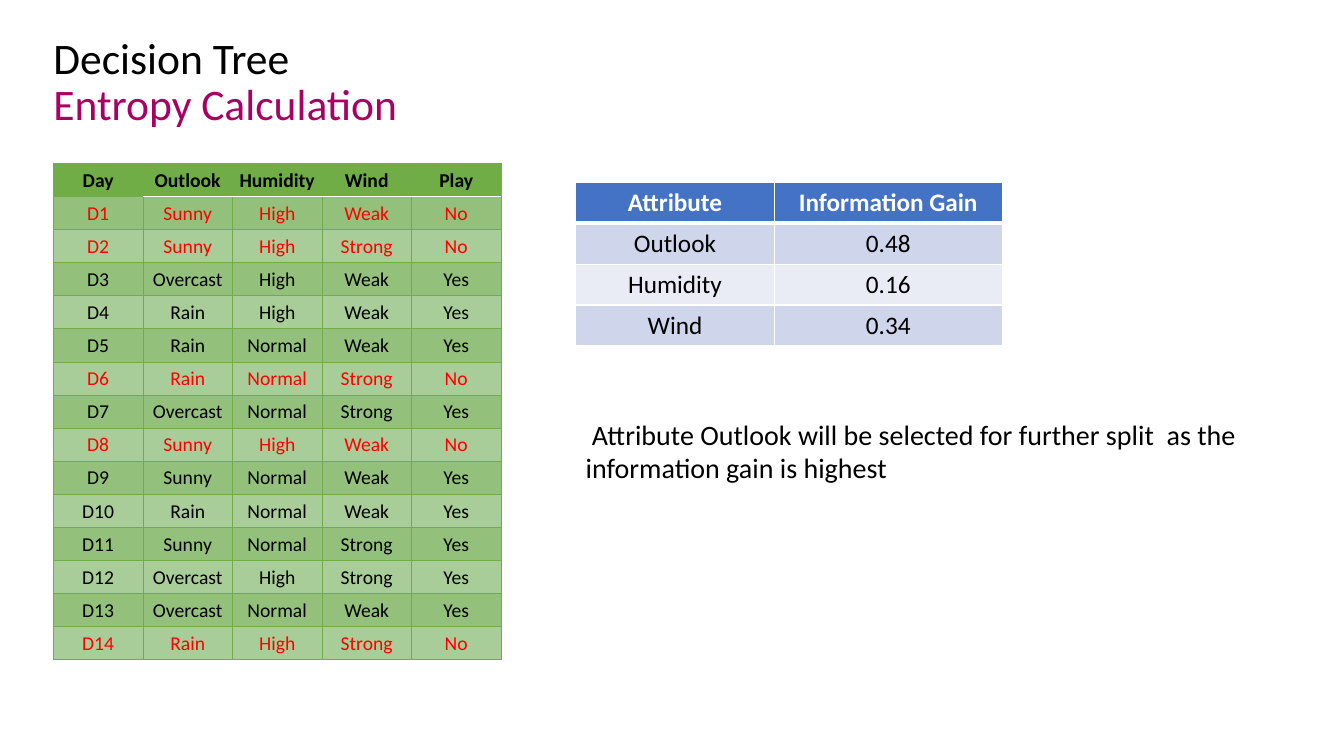
from lxml.etree import SubElement
from pptx import Presentation
from pptx.dml.color import RGBColor
from pptx.enum.text import MSO_ANCHOR, MSO_AUTO_SIZE, PP_ALIGN
from pptx.oxml.ns import qn
from pptx.util import Inches, Pt

GREEN, BLUE, WHITE, BLACK, RED = "70AD47", "4472C4", "FFFFFF", "000000", "FF0000"
GREEN_BANDS = ("93C17B", "A9CD98")
BLUE_BANDS = ("CFD5EA", "E9EBF5")

DAYS = """Day Outlook Humidity Wind Play
D1 Sunny High Weak No
D2 Sunny High Strong No
D3 Overcast High Weak Yes
D4 Rain High Weak Yes
D5 Rain Normal Weak Yes
D6 Rain Normal Strong No
D7 Overcast Normal Strong Yes
D8 Sunny High Weak No
D9 Sunny Normal Weak Yes
D10 Rain Normal Weak Yes
D11 Sunny Normal Strong Yes
D12 Overcast High Strong Yes
D13 Overcast Normal Weak Yes
D14 Rain High Strong No"""

GAINS = [
    ("Attribute", "Information Gain"),
    ("Outlook", "0.48"),
    ("Humidity", "0.16"),
    ("Wind", "0.34"),
]


def rgb(color):
    """Turn a hex string into a colour."""
    return RGBColor.from_string(color)


def style(paragraph, size, color, bold=False):
    """Set the font of a whole paragraph."""
    font = paragraph.font
    font.name, font.size, font.bold = "Calibri", Pt(size), bold
    font.color.rgb = rgb(color)


def set_borders(cell, **edges):
    """Draw the cell's L, R, T and B edges, each given as (colour, points)."""
    properties = cell._tc.get_or_add_tcPr()
    for side in "LRTB":
        color, width = edges[side]
        line = SubElement(properties, qn(f"a:ln{side}"), w=str(Pt(width)))
        fill = SubElement(line, qn("a:solidFill"))
        SubElement(fill, qn("a:srgbClr"), val=color)


def fill_cell(cell, text, size, color, fill, bold):
    """Write centred text on a filled cell."""
    cell.fill.solid()
    cell.fill.fore_color.rgb = rgb(fill)
    cell.text = text
    paragraph = cell.text_frame.paragraphs[0]
    paragraph.alignment = PP_ALIGN.CENTER
    style(paragraph, size, color, bold)


def add_grid(slide, rows, left, top, widths, row_height):
    """Add an unbanded table with the given column widths and row height."""
    frame = slide.shapes.add_table(
        len(rows), len(widths), Inches(left), Inches(top),
        Inches(sum(widths)), Inches(row_height * len(rows)))
    table = frame.table
    table.horz_banding = False
    for column, width in zip(table.columns, widths):
        column.width = Inches(width)
    for row in table.rows:
        row.height = Inches(row_height)
    return table


def add_heading(slide, left, top, width, height):
    """Place the two-line title."""
    title = slide.shapes.title
    title.left, title.top = Inches(left), Inches(top)
    title.width, title.height = Inches(width), Inches(height)
    frame = title.text_frame
    frame.text = "Decision Tree\nEntropy Calculation"
    frame.margin_left = frame.margin_right = 0
    frame.margin_top = frame.margin_bottom = 0
    frame.vertical_anchor = MSO_ANCHOR.TOP
    frame.auto_size = MSO_AUTO_SIZE.NONE
    for paragraph, color in zip(frame.paragraphs, (BLACK, "A80163")):
        paragraph.alignment = PP_ALIGN.LEFT
        paragraph.line_spacing = 0.89
        paragraph.space_before = Pt(0)
        style(paragraph, 31.1, color)


def add_days(slide, left, top, width, height):
    """Add the observations, with the days without play in red."""
    rows = [line.split() for line in DAYS.splitlines()]
    columns = len(rows[0])
    table = add_grid(slide, rows, left, top, [width / columns] * columns,
                     height / len(rows))
    thin, rule = (GREEN, 0.5), (WHITE, 1)
    for r, row in enumerate(rows):
        header = r == 0
        fill = GREEN if header else GREEN_BANDS[(r - 1) % 2]
        color = RED if row[-1] == "No" else BLACK
        for c, text in enumerate(row):
            cell = table.cell(r, c)
            cell.margin_left = cell.margin_right = cell.margin_top = Inches(0.01)
            cell.margin_bottom = 0
            cell.vertical_anchor = MSO_ANCHOR.MIDDLE
            set_borders(cell, L=thin, R=thin,
                        T=rule if r == 1 and c else thin,
                        B=rule if header and c else thin)
            fill_cell(cell, text, 14, color, fill, header)


def add_gains(slide, left, top, widths, row_height):
    """Add the information gain of each attribute."""
    table = add_grid(slide, GAINS, left, top, widths, row_height)
    thin, thick = (WHITE, 1), (WHITE, 3)
    for r, row in enumerate(GAINS):
        header = r == 0
        fill = BLUE if header else BLUE_BANDS[(r - 1) % 2]
        for c, text in enumerate(row):
            cell = table.cell(r, c)
            set_borders(cell, L=thin, R=thin, T=thick if r == 1 else thin,
                        B=thick if header else thin)
            fill_cell(cell, text, 18, WHITE if header else BLACK, fill, header)


def add_conclusion(slide, left, top, width, height):
    """Add the sentence that names the chosen attribute."""
    conclusion = slide.shapes.add_textbox(
        Inches(left), Inches(top), Inches(width), Inches(height))
    frame = conclusion.text_frame
    frame.word_wrap = True
    frame.auto_size = MSO_AUTO_SIZE.SHAPE_TO_FIT_TEXT
    frame.text = (" Attribute Outlook will be selected for further split  as the "
                  "information gain is highest")
    style(frame.paragraphs[0], 20, BLACK)


def main():
    """Build and save the slide."""
    deck = Presentation()
    deck.slide_width, deck.slide_height = Inches(13.33), Inches(7.5)
    slide = deck.slides.add_slide(deck.slide_layouts.get_by_name("Title Only"))
    add_heading(slide, 0.53, 0.37, 12.7, 0.94)
    add_days(slide, 0.53, 1.62, 4.44, 4.93)
    add_gains(slide, 5.71, 1.81, (1.97, 2.26), 0.4)
    add_conclusion(slide, 5.71, 4.09, 6.92, 0.77)
    deck.save("out.pptx")


if __name__ == "__main__":
    main()
